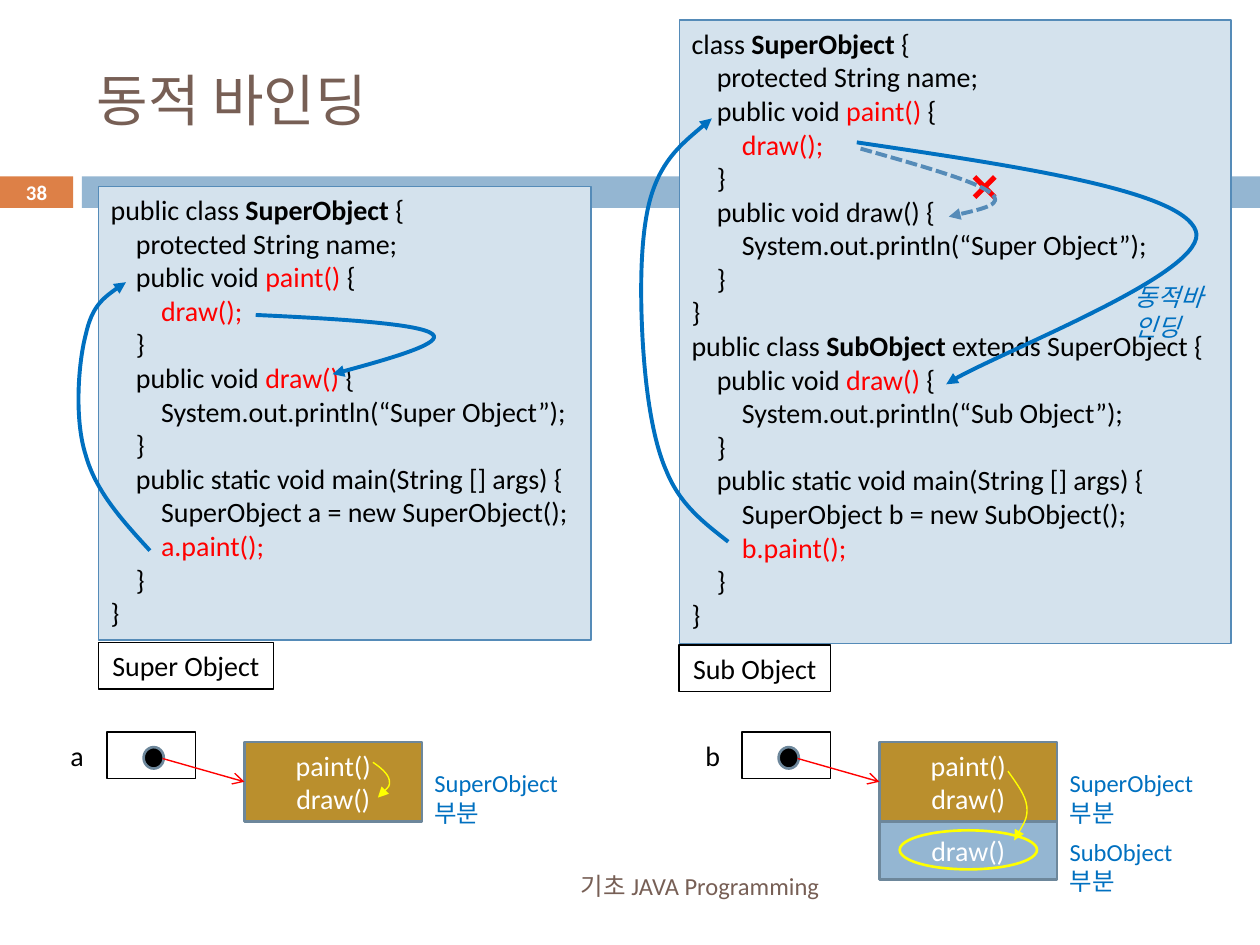
from pptx import Presentation
from pptx.dml.color import RGBColor
from pptx.enum.dml import MSO_LINE
from pptx.enum.shapes import MSO_CONNECTOR, MSO_SHAPE
from pptx.enum.text import MSO_ANCHOR, PP_ALIGN
from pptx.oxml.ns import qn
from pptx.util import Inches, Pt
from lxml import etree

RECT, BOX = MSO_SHAPE.RECTANGLE, MSO_SHAPE.FLOWCHART_PROCESS
DOT, OVAL = MSO_SHAPE.FLOWCHART_CONNECTOR, MSO_SHAPE.OVAL
CROSS, LINE = MSO_SHAPE.MATH_MULTIPLY, MSO_CONNECTOR.STRAIGHT
LEFT, MID, RIGHT = PP_ALIGN.LEFT, PP_ALIGN.CENTER, PP_ALIGN.RIGHT
TOP, CENTER = MSO_ANCHOR.TOP, MSO_ANCHOR.MIDDLE
DASH = MSO_LINE.SQUARE_DOT
KOREAN = "Noto Sans CJK KR"
BLACK, WHITE, RED, YELLOW = "000000", "FFFFFF", "FF0000", "FFFF00"
BLUE, STEEL, SKY, PALE = "0070C0", "558BB8", "94B6D2", "D4E2ED"
BROWN, GOLD, SLATE, ORANGE = "775F55", "BA8F2D", "6D879B", "DD8047"

TITLE, PAGE, FOOTER = "동적 바인딩", "38", "기초 JAVA Programming"
BODY = [
    "\tprotected String name;",
    "\tpublic void |paint() |{",
    "\t\t|draw();|",
    "\t}",
]
PRINT = "\t\tSystem.out.println(“%s Object”);"
MAIN = "\tpublic static void main(String [] args) {"
SUPER = ["public class |SuperObject |{", *BODY, "\tpublic void |draw() |{",
         PRINT % "Super", "\t}", MAIN,
         "\t\tSuperObject a = new SuperObject();", "\t\t|a.paint();|", "\t}", "}"]
SUB = ["class |SuperObject| {", *BODY, "\tpublic void draw() {",
       PRINT % "Super", "\t}", "}",
       "public class |SubObject| extends SuperObject {", "\tpublic void |draw() |{",
       PRINT % "Sub", "\t}", MAIN,
       "\t\tSuperObject b = new SubObject();", "\t\t|b.paint();|", "\t}", "}"]
PANELS = [
    ((0.78, 1.48, 3.91, 3.6), SUPER, "Super Object", (0.78, 5.1, 1.39, 0.37)),
    ((5.39, 0.16, 4.38, 4.95), SUB, "Sub Object", (5.39, 5.12, 1.2, 0.37)),
]
HEAPS = [("a", 0), ("b", 5.04)]
NOTES = [
    ("SuperObject 부분", (3.35, 6.05, 1.4, 0.34), False),
    ("SuperObject 부분", (8.39, 6.05, 1.4, 0.34), False),
    ("SubObject 부분", (8.39, 6.59, 1.24, 0.34), False),
    ("동적바인딩", (8.91, 2.19, 0.86, 0.34), True),
]
CURVES = [
    ([(8, 6.12), (8.07, 6.22), (8.14, 6.31), (8.15, 6.4),
      (8.16, 6.49), (8.1, 6.58), (8.05, 6.67)], YELLOW, 0.79, None),
    ([(2.96, 6.05), (3.02, 6.09), (3.08, 6.14), (3.09, 6.19),
      (3.1, 6.24), (3.05, 6.28), (3, 6.33)], YELLOW, 0.79, None),
    ([(2.03, 2.5), (2.68, 2.53), (3.33, 2.57), (3.43, 2.65),
      (3.53, 2.72), (3.09, 2.85), (2.64, 2.97)], BLUE, 2.25, None),
    ([(6.8, 1.13), (8.08, 1.32), (9.37, 1.51), (9.49, 1.83),
      (9.61, 2.15), (7.79, 2.85), (7.51, 3.05)], BLUE, 2.25, None),
    ([(6.83, 1.18), (7.29, 1.31), (7.75, 1.44), (7.86, 1.53),
      (7.98, 1.62), (7.75, 1.67), (7.53, 1.72)], STEEL, 2.25, DASH),
    ([(1.19, 4.37), (0.97, 4.13), (0.76, 3.9), (0.68, 3.61), (0.59, 3.33),
      (0.62, 2.89), (0.68, 2.66), (0.73, 2.43), (0.86, 2.33), (1, 2.24)],
     BLUE, 2.25, None),
    ([(5.78, 4.3), (5.59, 4.15), (5.4, 4.01), (5.29, 3.74), (5.17, 3.47),
      (5.12, 3.04), (5.1, 2.68), (5.08, 2.31), (5.08, 1.84), (5.17, 1.55),
      (5.26, 1.26), (5.46, 1.1), (5.65, 0.94)], BLUE, 2.25, None),
]

prs = Presentation()
prs.slide_width, prs.slide_height = Inches(10), Inches(7.5)
slide = prs.slides.add_slide(prs.slide_layouts[6])
shapes = slide.shapes


def color(code):
    return RGBColor.from_string(code)


def style(run, size, tint, font="Calibri", bold=False, slant=False):
    run.font.size, run.font.name = Pt(size), font
    run.font.bold, run.font.italic = bold, slant
    run.font.color.rgb = color(tint)
    etree.SubElement(run.font._element, qn("a:ea"), typeface=KOREAN)


def write(shape, text, size=16, tint=BLACK, align=LEFT, anchor=TOP, wrap=True, **kw):
    frame = shape.text_frame
    frame.text = text
    frame.word_wrap, frame.vertical_anchor = wrap, anchor
    for para in frame.paragraphs:
        para.alignment = align
        for run in para.runs:
            style(run, size, tint, **kw)


def label(at, text, **kw):
    write(shapes.add_textbox(*map(Inches, at)), text, **kw)


def draw(kind, at, fill=None, line=None, width=0.75, home=shapes):
    shape = home.add_shape(kind, *map(Inches, at))
    shape.shadow.inherit = False
    paint(shape, fill, line, width)
    return shape


def paint(shape, fill, line, width):
    if fill:
        shape.fill.solid()
        shape.fill.fore_color.rgb = color(fill)
    else:
        shape.fill.background()
    if line:
        shape.line.color.rgb = color(line)
        shape.line.width = Pt(width)
    else:
        shape.line.fill.background()


def tip(shape, kind):
    etree.SubElement(shape.line._get_or_add_ln(), qn("a:tailEnd"), type=kind)


def code(at, lines):
    frame = draw(RECT, at, PALE, STEEL).text_frame
    frame.word_wrap, frame.vertical_anchor = True, TOP
    for i, line in enumerate(lines):
        para = frame.add_paragraph() if i else frame.paragraphs[0]
        para.alignment = LEFT
        tabs = etree.SubElement(para._p.get_or_add_pPr(), qn("a:tabLst"))
        for step in (1, 2):
            etree.SubElement(tabs, qn("a:tab"), pos=str(Inches(0.2 * step)), algn="l")
        head = "class " in line
        for j, part in enumerate(line.split("|")):
            if part:
                run = para.add_run()
                run.text = part
                mark = j % 2 == 1
                style(run, 16, RED if mark and not head else BLACK, bold=mark and head)


def curve(points, tint, width, dash):
    spots = [(Inches(x), Inches(y)) for x, y in points]
    build = shapes.build_freeform(*spots[0], scale=1.0)
    build.add_line_segments(spots[1:], close=False)
    shape = build.convert_to_shape()
    shape.shadow.inherit = False
    paint(shape, None, tint, width)
    if dash:
        shape.line.dash_style = dash
    tip(shape, "triangle")
    legs = list(shape._element.iter(qn("a:lnTo")))
    for i in range(0, len(legs), 3):
        bend = etree.Element(qn("a:cubicBezTo"))
        legs[i].addprevious(bend)
        for leg in legs[i:i + 3]:
            bend.append(leg[0])
            leg.getparent().remove(leg)


def heap(name, dx):
    box = draw(BOX, (1.94 + dx, 5.89, 1.41, 0.63), GOLD, SLATE, 1.5)
    write(box, "paint()\ndraw()", tint=WHITE, align=MID, anchor=CENTER)
    label((0.46 + dx, 5.81, 0.33, 0.37), name, wrap=False)
    group = shapes.add_group_shape().shapes
    draw(RECT, (0.85 + dx, 5.81, 0.7, 0.37), None, BLACK, home=group)
    draw(DOT, (1.14 + dx, 5.93, 0.16, 0.17), BLACK, SLATE, 1.5, group)
    ends = (1.29 + dx, 6.02, 1.94 + dx, 6.2)
    arrow = shapes.add_connector(LINE, *map(Inches, ends))
    arrow.end_connect(box, 1)
    arrow.line.color.rgb, arrow.line.width = color(RED), Pt(0.79)
    tip(arrow, "arrow")
    etree.SubElement(arrow._element.spPr, qn("a:effectLst"))


draw(RECT, (0, 1.4, 0.58, 0.25), ORANGE)
draw(RECT, (0.65, 1.4, 9.35, 0.25), SKY)
label((0.67, 0.25, 8.92, 1.08), TITLE, size=32, tint=BROWN, anchor=CENTER, font=KOREAN)
for at, lines, name, spot in PANELS:
    code(at, lines)
    write(draw(RECT, spot, None, BLACK), name, align=MID, wrap=False)
part = draw(BOX, (6.98, 6.51, 1.41, 0.47), SKY, SLATE, 1.5)
write(part, "draw()", tint=WHITE, align=MID, anchor=CENTER)
for name, dx in HEAPS:
    heap(name, dx)
draw(OVAL, (7.14, 6.59, 1.09, 0.31), None, YELLOW, 1.5)
draw(CROSS, (7.66, 1.33, 0.31, 0.31), RED).adjustments[0] = 0.13
for text, at, slant in NOTES:
    label(at, text, size=14, tint=BLUE, slant=slant)
for bend in CURVES:
    curve(*bend)
label((0, 1.39, 0.58, 0.27), PAGE, size=11.9, tint=WHITE, align=MID, anchor=CENTER, bold=True)
label((0.67, 6.83, 5.93, 0.4), FOOTER, size=14, tint=BROWN, align=RIGHT, anchor=CENTER)
prs.save("out.pptx")
